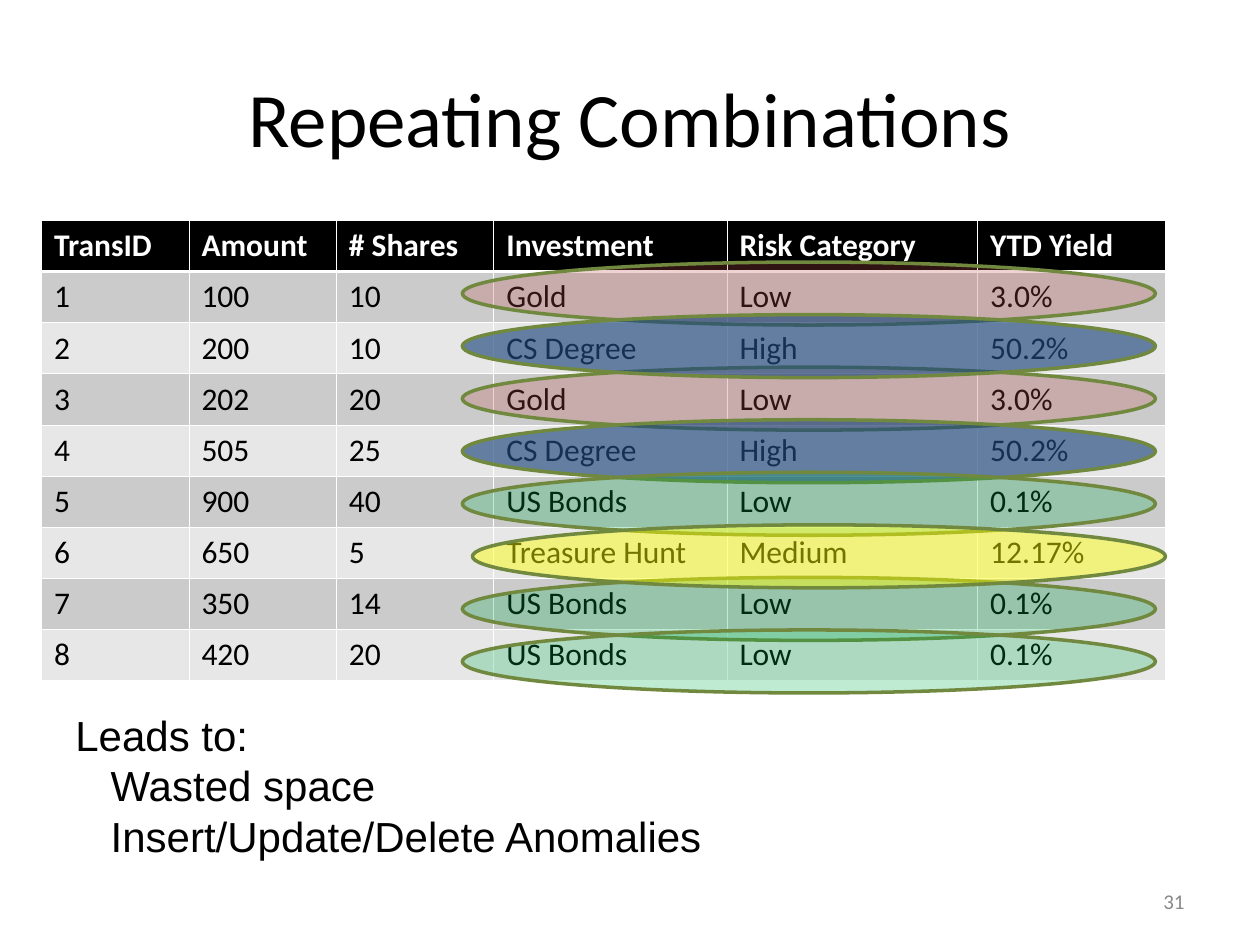
from lxml import etree
from pptx import Presentation
from pptx.dml.color import RGBColor
from pptx.enum.shapes import MSO_SHAPE
from pptx.enum.text import MSO_ANCHOR, PP_ALIGN
from pptx.oxml.ns import qn
from pptx.util import Inches, Pt

OVAL = MSO_SHAPE.OVAL
MIDDLE = MSO_ANCHOR.MIDDLE
CENTER, RIGHT = PP_ALIGN.CENTER, PP_ALIGN.RIGHT

BLACK = RGBColor(0x00, 0x00, 0x00)
WHITE = RGBColor(0xFF, 0xFF, 0xFF)
DARK_BAND = RGBColor(0xCB, 0xCB, 0xCB)
LIGHT_BAND = RGBColor(0xE7, 0xE7, 0xE7)
NUMBER_GRAY = RGBColor(0x89, 0x89, 0x89)
OLIVE = RGBColor(0x71, 0x89, 0x3F)
RED = RGBColor(0xC0, 0x50, 0x4D)
NAVY = RGBColor(0x1F, 0x49, 0x7D)
GREEN = RGBColor(0x00, 0xB0, 0x50)
YELLOW = RGBColor(0xFF, 0xFF, 0x00)

HEADERS = ["TransID", "Amount", "# Shares", "Investment", "Risk Category", "YTD Yield"]
INVESTMENTS = {
    "Gold": ("Low", "3.0%"),
    "CS Degree": ("High", "50.2%"),
    "US Bonds": ("Low", "0.1%"),
    "Treasure Hunt": ("Medium", "12.17%"),
}
TRANSACTIONS = [
    (100, 10, "Gold"),
    (200, 10, "CS Degree"),
    (202, 20, "Gold"),
    (505, 25, "CS Degree"),
    (900, 40, "US Bonds"),
    (650, 5, "Treasure Hunt"),
    (350, 14, "US Bonds"),
    (420, 20, "US Bonds"),
]
COLUMN_WIDTHS = [1.17, 1.17, 1.25, 1.85, 1.99, 1.49]
HIGHLIGHTS = {
    "Gold": (RED, 25, 0),
    "CS Degree": (NAVY, 66, 0),
    "US Bonds": (GREEN, 25, 0),
    "Treasure Hunt": (YELLOW, 45, 0.08),
}


def add_text(paragraph, text, font_name, size, color, bold=False):
    """Add one formatted run to a paragraph."""
    run = paragraph.add_run()
    run.text = text
    run.font.name = font_name
    run.font.size = Pt(size)
    run.font.bold = bold
    run.font.color.rgb = color


def add_title(slide, left, top, width, height):
    """Fill the title placeholder."""
    title = slide.shapes.title
    title.left, title.top = Inches(left), Inches(top)
    title.width, title.height = Inches(width), Inches(height)
    title.text_frame.vertical_anchor = MIDDLE
    paragraph = title.text_frame.paragraphs[0]
    paragraph.alignment = CENTER
    add_text(paragraph, "Repeating Combinations", "Calibri", 44, BLACK)


def set_cell_borders(cell, row_index):
    """Draw white cell borders, heavier under the header row."""
    heavy_side = {0: "lnB", 1: "lnT"}.get(row_index)
    properties = cell._tc.get_or_add_tcPr()
    for side in ("lnL", "lnR", "lnT", "lnB"):
        points = 1.47 if side == heavy_side else 0.45
        line = etree.SubElement(properties, qn(f"a:{side}"), w=str(Pt(points)))
        fill = etree.SubElement(line, qn("a:solidFill"))
        etree.SubElement(fill, qn("a:srgbClr"), val=str(WHITE))


def add_transaction_table(slide, left, top, width, height):
    """Add the table of transactions with banded rows."""
    rows = [HEADERS]
    for number, (amount, shares, investment) in enumerate(TRANSACTIONS, 1):
        rows.append((number, amount, shares, investment, *INVESTMENTS[investment]))
    table = slide.shapes.add_table(
        len(rows), len(HEADERS), Inches(left), Inches(top), Inches(width), Inches(height)
    ).table
    for column, column_width in zip(table.columns, COLUMN_WIDTHS):
        column.width = Inches(column_width)
    for row_index, values in enumerate(rows):
        is_header = row_index == 0
        band = DARK_BAND if row_index % 2 else LIGHT_BAND
        for column_index, value in enumerate(values):
            cell = table.cell(row_index, column_index)
            set_cell_borders(cell, row_index)
            cell.fill.solid()
            cell.fill.fore_color.rgb = BLACK if is_header else band
            add_text(cell.text_frame.paragraphs[0], str(value), "Calibri", 18,
                     WHITE if is_header else BLACK, is_header)


def add_highlights(slide, left, top, width, height):
    """Ring each transaction's repeated values, one colour per investment."""
    ring_height = 0.5
    pitch = (height - ring_height) / (len(TRANSACTIONS) - 1)
    for investment, (color, opacity, shift) in HIGHLIGHTS.items():
        for index, transaction in enumerate(TRANSACTIONS):
            if transaction[-1] != investment:
                continue
            ring = slide.shapes.add_shape(
                OVAL, Inches(left + shift), Inches(top + index * pitch),
                Inches(width), Inches(ring_height)
            )
            ring.shadow.inherit = False
            ring.fill.solid()
            ring.fill.fore_color.rgb = color
            color_element = ring._element.spPr.find(".//" + qn("a:srgbClr"))
            etree.SubElement(color_element, qn("a:alpha"), val=str(opacity * 1000))
            ring.line.color.rgb = OLIVE
            ring.line.width = Pt(2)


def add_consequences(slide, left, top, width, height):
    """Add the list of problems caused by the repetition."""
    box = slide.shapes.add_textbox(Inches(left), Inches(top), Inches(width), Inches(height))
    frame = box.text_frame
    frame.word_wrap = True
    lines = [("Leads to:", 0), ("Wasted space", 0.28),
             ("Insert/Update/Delete Anomalies", 0.28)]
    for index, (text, indent) in enumerate(lines):
        paragraph = frame.add_paragraph() if index else frame.paragraphs[0]
        paragraph._p.get_or_add_pPr().set("marL", str(Inches(indent)))
        paragraph.line_spacing = Pt(28.8)
        add_text(paragraph, text, "Arial", 24, BLACK)


def add_slide_number(slide, left, top, width, height):
    """Add the page number at the lower right."""
    box = slide.shapes.add_textbox(Inches(left), Inches(top), Inches(width), Inches(height))
    box.text_frame.word_wrap = True
    box.text_frame.vertical_anchor = MIDDLE
    paragraph = box.text_frame.paragraphs[0]
    paragraph.alignment = RIGHT
    add_text(paragraph, "31", "Calibri", 12, NUMBER_GRAY)


def main():
    """Build and save the presentation."""
    presentation = Presentation()
    presentation.slide_width = Inches(10)
    presentation.slide_height = Inches(7.5)
    slide = presentation.slides.add_slide(presentation.slide_layouts.get_by_name("Title Only"))
    add_title(slide, 0.5, 0.3, 9, 1.25)
    add_transaction_table(slide, 0.33, 1.75, 8.92, 3.65)
    add_highlights(slide, 3.67, 2.08, 5.5, 3.42)
    add_consequences(slide, 0.5, 5.58, 5.42, 1.3)
    add_slide_number(slide, 7.17, 6.95, 2.33, 0.4)
    presentation.save("out.pptx")


if __name__ == "__main__":
    main()
